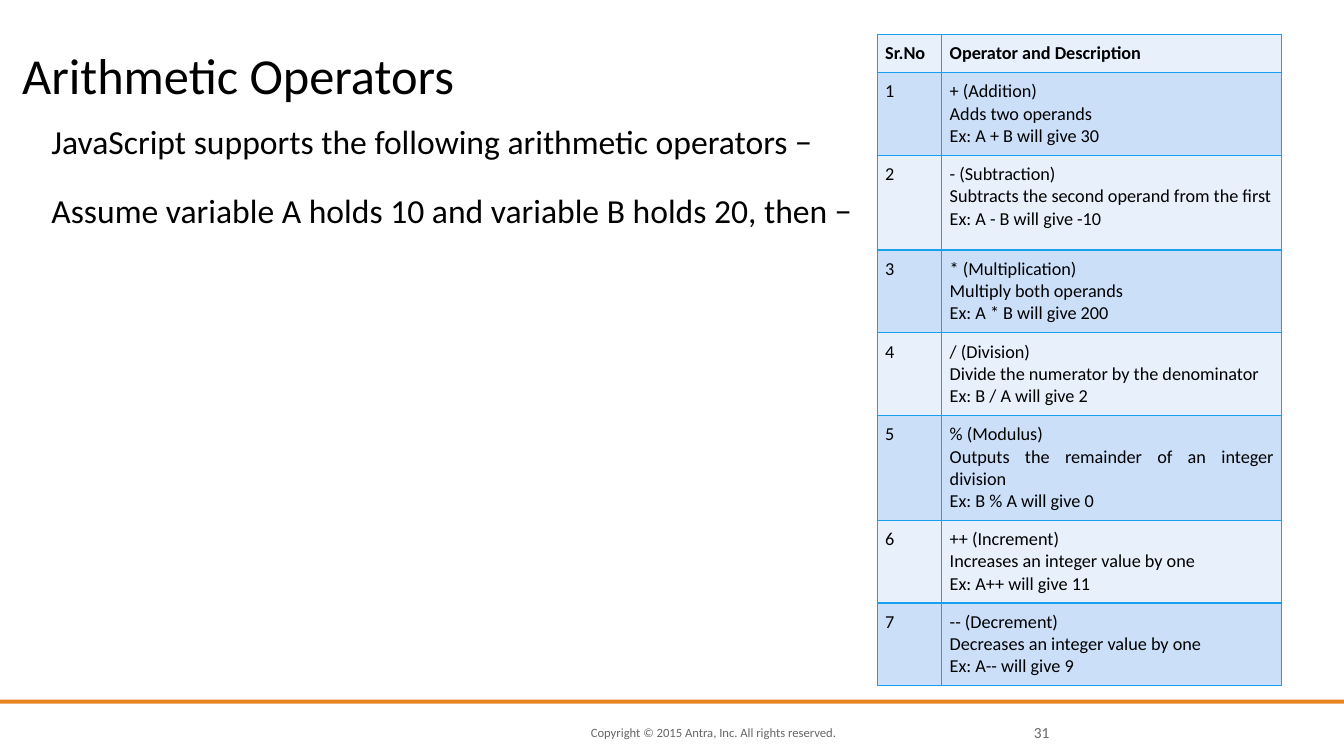
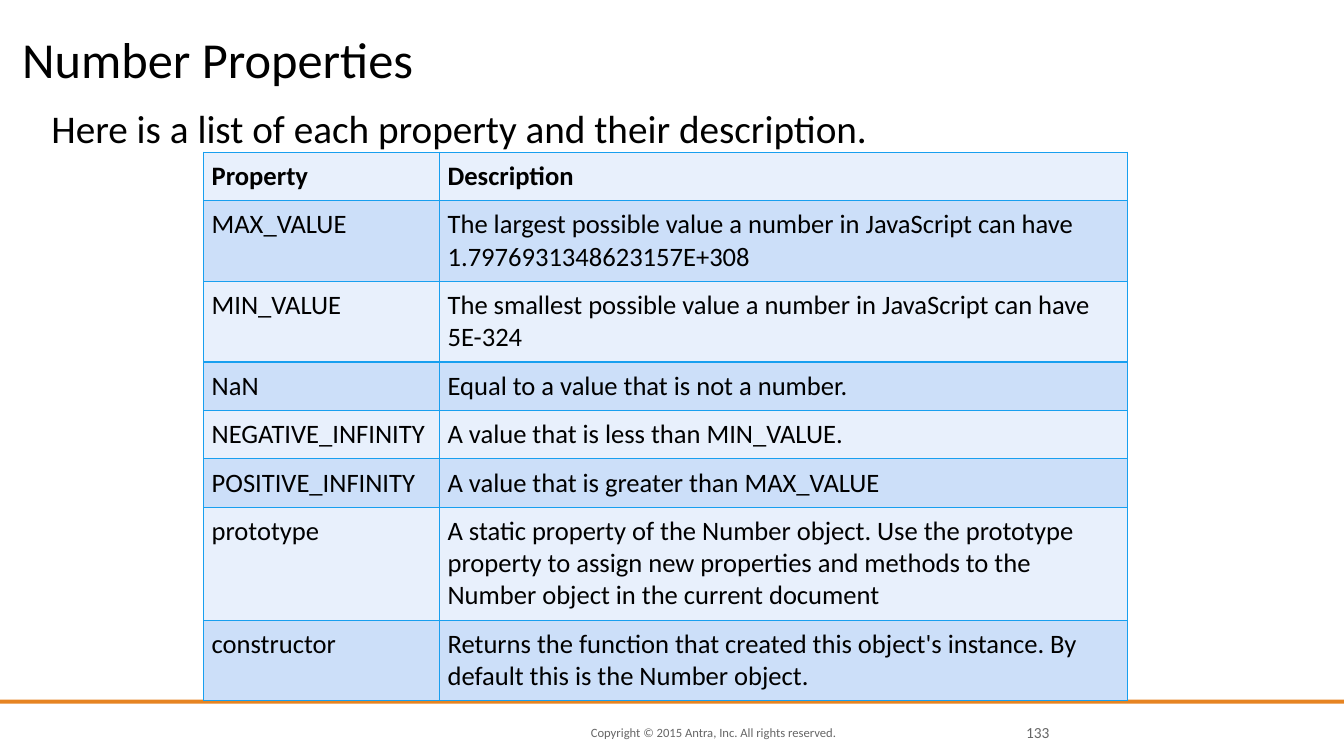
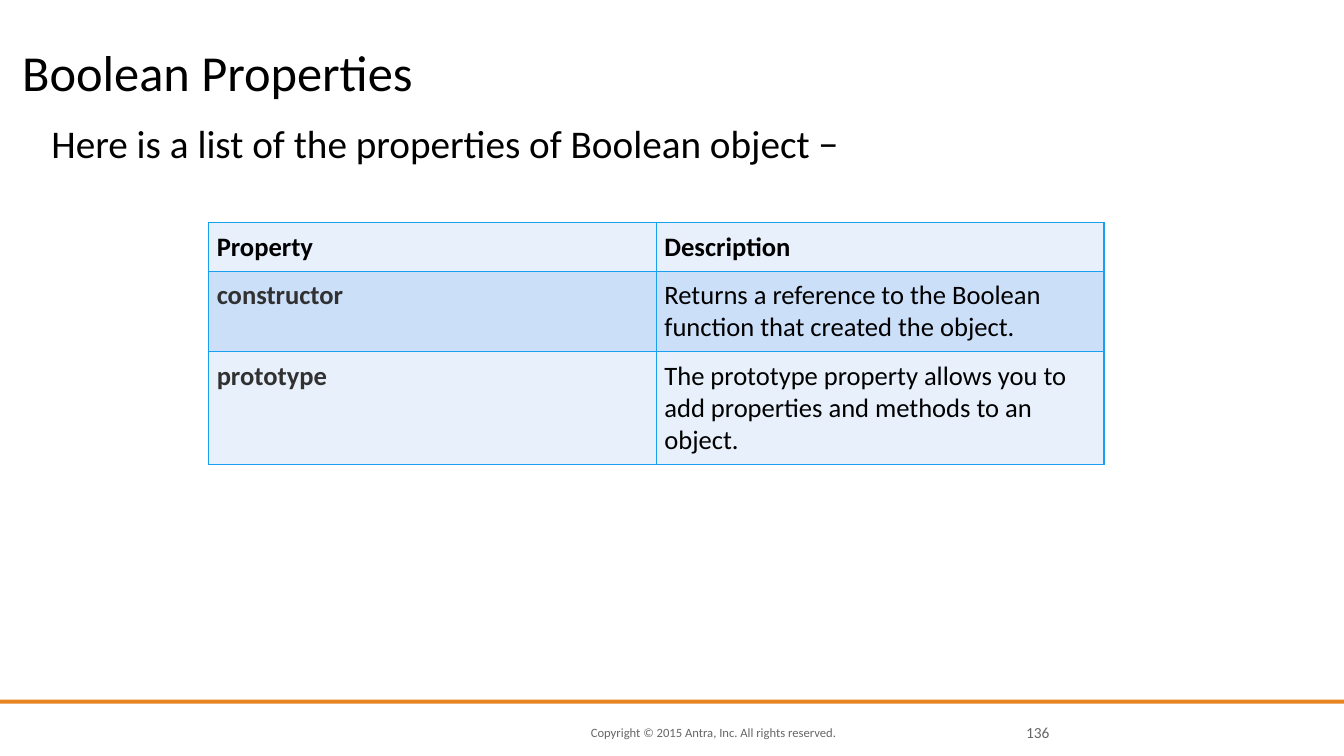
from dataclasses import dataclass

from lxml import etree
from pptx import Presentation
from pptx.dml.color import RGBColor
from pptx.enum.shapes import MSO_SHAPE
from pptx.enum.text import MSO_ANCHOR, MSO_AUTO_SIZE, PP_ALIGN as ALIGN
from pptx.oxml.ns import qn
from pptx.util import Pt

EMU_PER_PX = 9144
SLIDE_WIDTH, SLIDE_HEIGHT = 1333, 750
TITLE_ONLY = 5
COPYRIGHT = "Copyright © 2015 Antra, Inc. All rights reserved."


@dataclass(frozen=True)
class Theme:
    font: str = "Calibri"
    text: str = "000000"
    property_name: str = "313131"
    muted: str = "666666"
    band: str = "E68422"
    border: str = "189FEF"
    light_row: str = "E8F0FC"
    dark_row: str = "CCDFF9"
    title_size: int = 36
    footer_size: int = 9
    number_size: int = 11
    border_width: int = 1
    cell_inset: int = 8


THEME = Theme()

OPERATORS = [
    ("+ (Addition)", "Adds two operands", "A + B will give 30"),
    ("- (Subtraction)", "Subtracts the second operand from the first", "A - B will give -10"),
    ("* (Multiplication)", "Multiply both operands", "A * B will give 200"),
    ("/ (Division)", "Divide the numerator by the denominator", "B / A will give 2"),
    ("% (Modulus)", "Outputs the remainder of an integer division", "B % A will give 0"),
    ("++ (Increment)", "Increases an integer value by one", "A++ will give 11"),
    ("-- (Decrement)", "Decreases an integer value by one", "A-- will give 9"),
]

NUMBER_PROPERTIES = [
    ("Property", "Description"),
    ("MAX_VALUE", "The largest possible value a number in JavaScript can have 1.7976931348623157E+308"),
    ("MIN_VALUE", "The smallest possible value a number in JavaScript can have 5E-324"),
    ("NaN", "Equal to a value that is not a number."),
    ("NEGATIVE_INFINITY", "A value that is less than MIN_VALUE."),
    ("POSITIVE_INFINITY", "A value that is greater than MAX_VALUE"),
    ("prototype", "A static property of the Number object. Use the prototype property to assign "
                  "new properties and methods to the Number object in the current document"),
    ("constructor", "Returns the function that created this object's instance. "
                    "By default this is the Number object."),
]

BOOLEAN_PROPERTIES = [
    ("Property", "Description"),
    ("constructor", "Returns a reference to the Boolean function that created the object."),
    ("prototype", "The prototype property allows you to add properties and methods to an object."),
]


def px(*lengths):
    return [length * EMU_PER_PX for length in lengths]


def format_text(frame, size, color=THEME.text, bold=False, align=ALIGN.LEFT, line_spacing=None):
    for paragraph in frame.paragraphs:
        paragraph.alignment = align
        paragraph.line_spacing = line_spacing
        font = paragraph.font
        font.name, font.size, font.bold = THEME.font, Pt(size), bold
        font.color.rgb = RGBColor.from_string(color)


def fill_frame(frame, text, anchor):
    frame.margin_left = frame.margin_top = frame.margin_right = frame.margin_bottom = 0
    frame.word_wrap = True
    frame.auto_size = MSO_AUTO_SIZE.NONE
    frame.vertical_anchor = anchor
    frame.text = text


def add_text(slide, box, text, size, anchor=MSO_ANCHOR.TOP, **style):
    frame = slide.shapes.add_textbox(*px(*box)).text_frame
    fill_frame(frame, text, anchor)
    format_text(frame, size, **style)
    return frame


def add_slide(presentation, title, title_top, title_height, number):
    """Add a slide with its title, band, copyright line and number."""
    slide = presentation.slides.add_slide(presentation.slide_layouts[TITLE_ONLY])
    heading = slide.shapes.title
    heading.left, heading.top, heading.width, heading.height = px(22, title_top, 1217, title_height)
    fill_frame(heading.text_frame, title, MSO_ANCHOR.BOTTOM)
    format_text(heading.text_frame, THEME.title_size, line_spacing=0.8)

    band = slide.shapes.add_shape(MSO_SHAPE.RECTANGLE, *px(0, 694, SLIDE_WIDTH, 4))
    band.shadow.inherit = False
    band.fill.solid()
    band.fill.fore_color.rgb = RGBColor.from_string(THEME.band)
    band.line.fill.background()

    add_text(slide, (586, 717, 305, 20), COPYRIGHT, THEME.footer_size,
             MSO_ANCHOR.MIDDLE, color=THEME.muted)
    add_text(slide, (999, 717, 42, 20), str(number), THEME.number_size,
             MSO_ANCHOR.MIDDLE, color=THEME.muted, align=ALIGN.RIGHT)
    return slide


def add_body(slide, top, width, lines, size):
    frame = add_text(slide, (51, top, width, 433), "\n".join(lines), size, line_spacing=0.9)
    for paragraph in frame.paragraphs[1:]:
        paragraph.space_before = Pt(24)


def set_borders(cell):
    properties = cell._tc.get_or_add_tcPr()
    for side in ("a:lnL", "a:lnR", "a:lnT", "a:lnB"):
        line = etree.SubElement(properties, qn(side), w=str(Pt(THEME.border_width)))
        fill = etree.SubElement(line, qn("a:solidFill"))
        etree.SubElement(fill, qn("a:srgbClr"), val=THEME.border)


def add_table(slide, left, top, widths, heights, rows, size,
              body_align=ALIGN.LEFT, names_bold=False):
    """Add a table with a bold header; names_bold also stresses the first column."""
    box = px(left, top, sum(widths), sum(heights))
    table = slide.shapes.add_table(len(rows), len(widths), *box).table
    table.first_row = table.horz_banding = False
    for column, width in zip(table.columns, px(*widths)):
        column.width = width
    for row, height in zip(table.rows, px(*heights)):
        row.height = height

    inset = THEME.cell_inset * EMU_PER_PX
    for row_index, texts in enumerate(rows):
        is_header = row_index == 0
        row_color = THEME.dark_row if row_index % 2 else THEME.light_row
        for column_index, text in enumerate(texts):
            cell = table.cell(row_index, column_index)
            cell.margin_left = cell.margin_top = cell.margin_right = cell.margin_bottom = inset
            set_borders(cell)
            cell.fill.solid()
            cell.fill.fore_color.rgb = RGBColor.from_string(row_color)
            cell.text_frame.text = text
            is_name = names_bold and column_index == 0 and not is_header
            format_text(cell.text_frame, size,
                        color=THEME.property_name if is_name else THEME.text,
                        bold=is_header or is_name,
                        align=ALIGN.LEFT if is_header or column_index == 0 else body_align)


def add_arithmetic_operators(presentation):
    slide = add_slide(presentation, "Arithmetic Operators", 36, 67, 31)
    add_body(slide, 124, 1242, [
        "JavaScript supports the following arithmetic operators −",
        "Assume variable A holds 10 and variable B holds 20, then −",
    ], 24)
    rows = [("Sr.No", "Operator and Description")]
    for number, (operator, action, example) in enumerate(OPERATORS, 1):
        rows.append((str(number), f"{operator}\n{action}\nEx: {example}"))
    add_table(slide, 870, 34, (64, 337), (38, 74, 94, 74, 74, 94, 74, 74), rows, 13,
              body_align=ALIGN.JUSTIFY)


def add_number_properties(presentation):
    slide = add_slide(presentation, "Number Properties", 36, 52, 133)
    add_body(slide, 109, 969, ["Here is a list of each property and their description."], 28)
    add_table(slide, 202, 151, (234, 682), (43, 71, 71, 43, 43, 43, 99, 71),
              NUMBER_PROPERTIES, 19)


def add_boolean_properties(presentation):
    slide = add_slide(presentation, "Boolean Properties", 28, 72, 136)
    add_body(slide, 124, 969, ["Here is a list of the properties of Boolean object −"], 28)
    add_table(slide, 207, 221, (444, 444), (41, 41, 41), BOOLEAN_PROPERTIES, 19, names_bold=True)


def main():
    presentation = Presentation()
    presentation.slide_width, presentation.slide_height = px(SLIDE_WIDTH, SLIDE_HEIGHT)
    add_arithmetic_operators(presentation)
    add_number_properties(presentation)
    add_boolean_properties(presentation)
    presentation.save("out.pptx")


if __name__ == "__main__":
    main()
